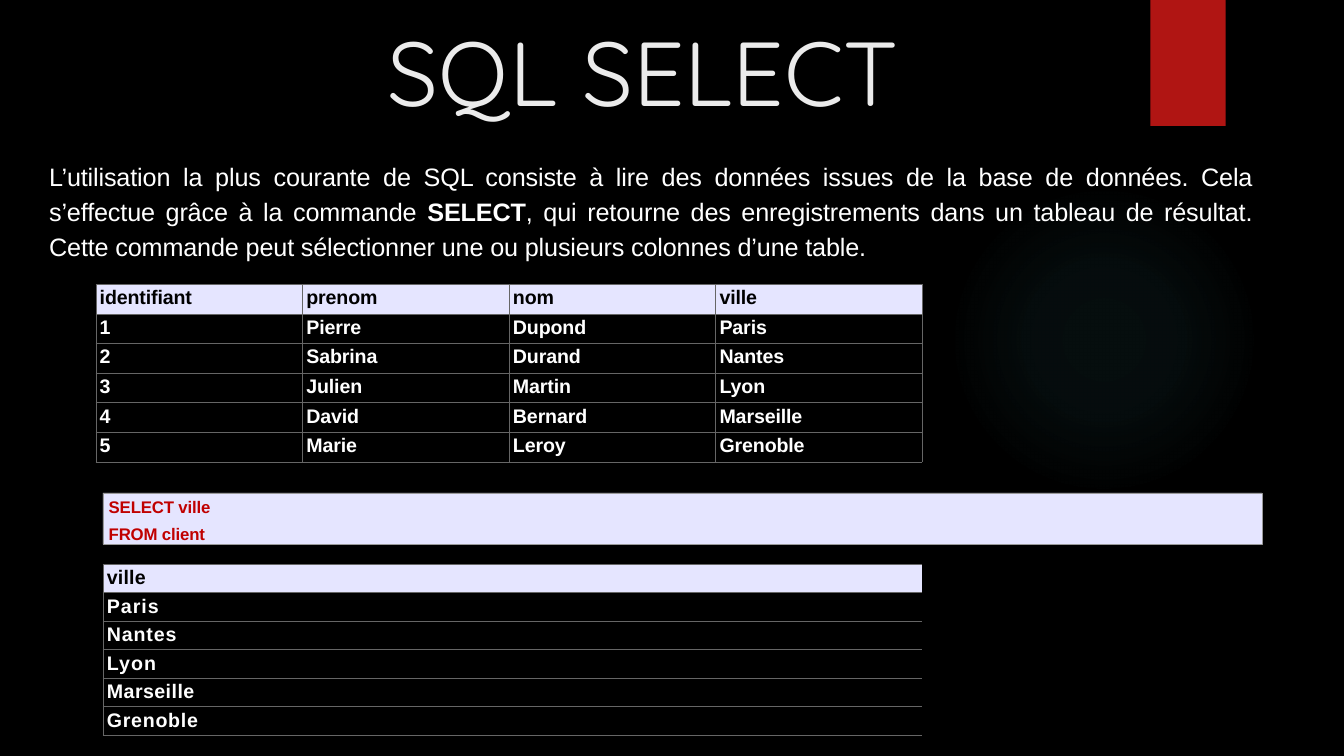
from lxml import etree
from pptx import Presentation, util as u
from pptx.dml.color import RGBColor
from pptx.enum import shapes, text
from pptx.oxml.ns import qn

WIDE, HIGH = u.Inches(13.333), u.Inches(7.5)
HUES = {"night": "000000", "glow": "50B9C1", "ribbon": "B01513", "title": "EBEBEB",
        "white": "FFFFFF", "pale": "E5E5FF", "code": "C00000",
        "grid": "666666", "edge": "999999"}
LEAD = ("L’utilisation la plus courante de SQL consiste à lire des données issues "
        "de la base de données. Cela s’effectue grâce à la commande ")
TAIL = (", qui retourne des enregistrements dans un tableau de résultat. Cette "
        "commande peut sélectionner une ou plusieurs colonnes d’une table.")
CLIENTS = [["identifiant", "prenom", "nom", "ville"],
           ["1", "Pierre", "Dupond", "Paris"],
           ["2", "Sabrina", "Durand", "Nantes"],
           ["3", "Julien", "Martin", "Lyon"],
           ["4", "David", "Bernard", "Marseille"],
           ["5", "Marie", "Leroy", "Grenoble"]]


def hue(name):
    """Return a named colour."""
    return RGBColor.from_string(HUES[name])


def area(left, top, width, height):
    """Turn percentages of the slide into a box."""
    return [int(size * share / 100) for size, share in
            zip((WIDE, HIGH, WIDE, HIGH), (left, top, width, height))]


def write(par, words, size=14, color="white", bold=False, gap=-0.1, face="Arial"):
    """Add a formatted run; gap is the letter spacing in points."""
    run = par.add_run()
    run.text = words
    font = run.font
    font.size, font.bold, font.name = u.Pt(size), bold, face
    font.color.rgb = hue(color)
    font._element.set("spc", str(round(gap * 100)))


def inset(item, left, top):
    """Set the inner margins of a cell or text frame in points."""
    item.margin_left, item.margin_top = u.Pt(left), u.Pt(top)
    item.margin_right = item.margin_bottom = 0


def block(slide, box, fill, kind=shapes.MSO_SHAPE.RECTANGLE):
    """Draw a flat shape without an outline."""
    shape = slide.shapes.add_shape(kind, *box)
    shape.shadow.inherit = False
    shape.fill.solid()
    shape.fill.fore_color.rgb = hue(fill)
    shape.line.fill.background()
    return shape


def halo(slide, box):
    """Draw the faint round glow."""
    shape = block(slide, box, "glow", shapes.MSO_SHAPE.OVAL)
    props = shape._element.spPr
    solid = props.find(qn("a:solidFill"))
    grad = etree.Element(qn("a:gradFill"), rotWithShape="1")
    stops = etree.SubElement(grad, qn("a:gsLst"))
    for pos, alpha in ((0, 7), (36, 6), (69, 0)):
        stop = etree.SubElement(stops, qn("a:gs"), pos=str(pos * 1000))
        color = etree.SubElement(stop, qn("a:srgbClr"), val=HUES["glow"])
        etree.SubElement(color, qn("a:alpha"), val=str(alpha * 1000))
    sweep = etree.SubElement(grad, qn("a:path"), path="circle")
    etree.SubElement(sweep, qn("a:fillToRect"), l="50000", t="50000", r="50000", b="50000")
    props.replace(solid, grad)


def head(slide, box):
    """Place and format the title."""
    title = slide.shapes.title
    title.left, title.top, title.width, title.height = box
    frame = title.text_frame
    frame.auto_size = text.MSO_AUTO_SIZE.NONE
    frame.vertical_anchor = text.MSO_ANCHOR.BOTTOM
    par = frame.paragraphs[0]
    par.alignment = text.PP_ALIGN.CENTER
    write(par, "SQL SELECT", size=64.8, color="title", gap=0, face="Quicksand")


def intro(slide, box):
    """Write the justified introduction."""
    frame = slide.shapes.add_textbox(*box).text_frame
    frame.word_wrap = True
    par = frame.paragraphs[0]
    par.alignment, par.line_spacing = text.PP_ALIGN.JUSTIFY, 1.15
    for words, bold in ((LEAD, False), ("SELECT", True), (TAIL, False)):
        write(par, words, size=18, bold=bold)


def rule(cell, sides):
    """Draw thin borders on the given sides and clear the others."""
    props = cell._tc.get_or_add_tcPr()
    for side in "LRTB":
        line = etree.SubElement(props, qn("a:ln" + side), w=str(u.Pt(0.25)))
        if side in sides:
            solid = etree.SubElement(line, qn("a:solidFill"))
            etree.SubElement(solid, qn("a:srgbClr"), val=HUES["grid"])
        else:
            etree.SubElement(line, qn("a:noFill"))


def table(slide, box, rows, gaps, sides="LRTB"):
    """Build a table with a pale heading row and a letter spacing per row."""
    grid = slide.shapes.add_table(len(rows), len(rows[0]), *box).table
    grid.first_row = grid.horz_banding = False
    for col in grid.columns:
        col.width = box[2] // len(rows[0])
    for r, (row, gap) in enumerate(zip(rows, gaps)):
        grid.rows[r].height = box[3] // len(rows)
        for c, words in enumerate(row):
            cell = grid.cell(r, c)
            inset(cell, 2.9, 2)
            rule(cell, sides)
            if r == 0:
                cell.fill.solid()
                cell.fill.fore_color.rgb = hue("pale")
            else:
                cell.fill.background()
            write(cell.text_frame.paragraphs[0], words, bold=True, gap=gap,
                  color="white" if r else "night")


def query(slide, box):
    """Show the SQL command in a pale bar."""
    bar = block(slide, box, "pale")
    bar.line.color.rgb = hue("edge")
    bar.line.width = u.Pt(0.25)
    frame = bar.text_frame
    frame.word_wrap = True
    frame.vertical_anchor = text.MSO_ANCHOR.TOP
    inset(frame, 4.2, 2.7)
    for n, words in enumerate(("SELECT ville", "FROM client")):
        par = frame.add_paragraph() if n else frame.paragraphs[0]
        par.alignment = text.PP_ALIGN.LEFT
        if n:
            par.space_before = u.Pt(5.1)
        write(par, words, size=12, color="code", bold=True)


def main():
    """Build and save the slide."""
    deck = Presentation()
    deck.slide_width, deck.slide_height = WIDE, HIGH
    slide = deck.slides.add_slide(deck.slide_layouts[5])
    slide.background.fill.solid()
    slide.background.fill.fore_color.rgb = hue("night")
    halo(slide, area(70.58, 24.4, 23.1, 41.07))
    block(slide, area(85.6, 0, 5.6, 16.67), "ribbon")
    head(slide, area(10.35, 3.07, 75, 14.13))
    intro(slide, area(2.92, 20.13, 91, 14.93))
    table(slide, area(7.12, 37.6, 61.5, 23.47), CLIENTS, [-0.1] * len(CLIENTS))
    query(slide, area(7.65, 65.2, 86.25, 6.8))
    table(slide, area(7.65, 74.6, 60.95, 22.67), [row[-1:] for row in CLIENTS],
          [0.1, 0.7, 0.6, 0.7, 0.3, 0.5], sides="LTB")
    deck.save("out.pptx")


if __name__ == "__main__":
    main()
